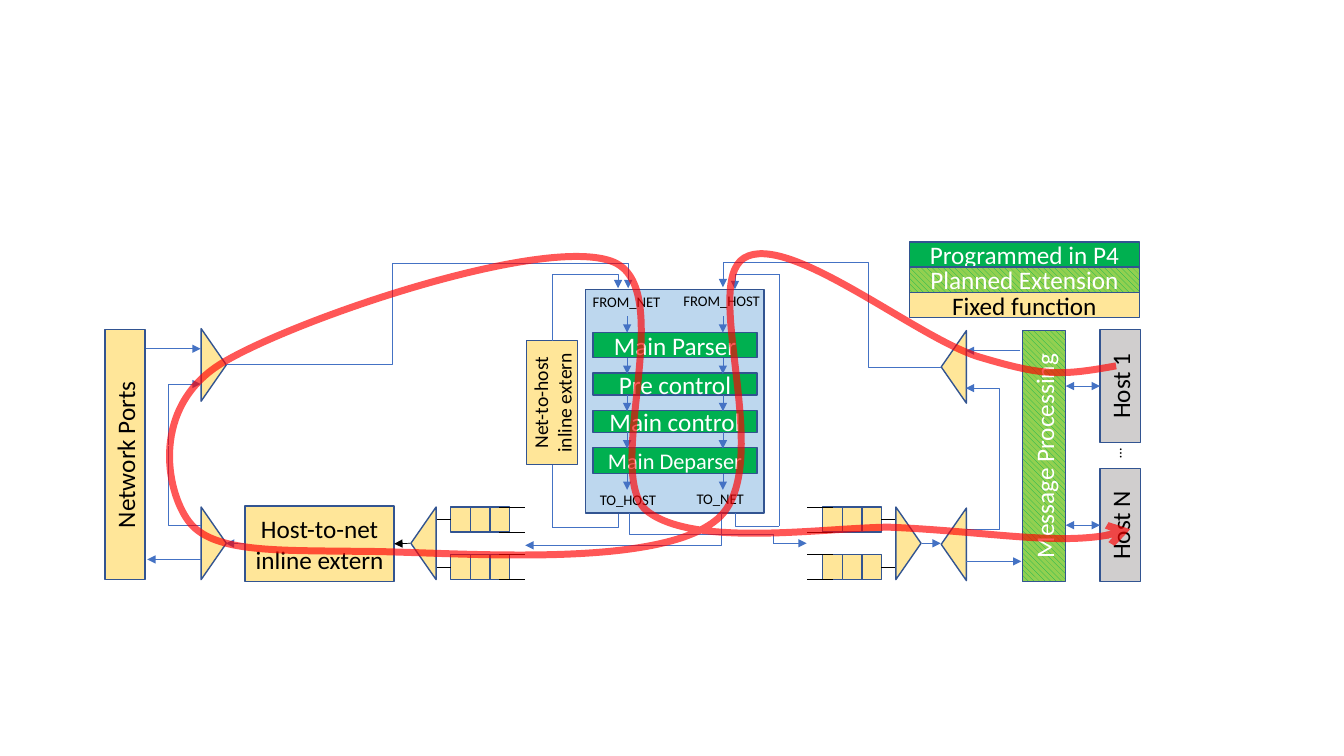
from lxml import etree
from pptx import Presentation
from pptx import util as u
from pptx.dml.color import RGBColor
from pptx.enum import dml, shapes, text
from pptx.oxml import ns

GREEN, LIME = RGBColor(0x00, 0xB0, 0x50), RGBColor(0x92, 0xD0, 0x50)
SAND, GREY = RGBColor(0xFF, 0xE6, 0x99), RGBColor(0xD0, 0xCE, 0xCE)
SKY, NAVY = RGBColor(0xBD, 0xD7, 0xEE), RGBColor(0x32, 0x54, 0x91)
BLUE, RED = RGBColor(0x44, 0x72, 0xC4), RGBColor(0xFF, 0x00, 0x00)
BLACK, WHITE = RGBColor(0, 0, 0), RGBColor(0xFF, 0xFF, 0xFF)
HATCH = (GREEN, LIME)
FONT = "Calibri"

# text, left, top, width, height, fill, font colour, size (all turned upwards)
UPRIGHT = [
    ("Message Processing", 9.11, 4.31, 2.49, 0.43, HATCH, WHITE, 18),
    ("Network Ports", 0, 4.31, 2.48, 0.4, SAND, BLACK, 18),
    ("Host 1", 10.55, 3.63, 1.12, 0.4, GREY, BLACK, 18),
    ("Host N", 10.55, 5.01, 1.12, 0.4, GREY, BLACK, 18),
    ("Net-to-host inline extern", 4.86, 3.74, 1.23, 0.51, SAND, BLACK, 14),
]
# stage, top, height, size
STAGES = [("Main Parser", 3.3, 0.25, 18), ("Pre control", 3.7, 0.22, 18),
          ("Main control", 4.07, 0.22, 18), ("Main Deparser", 4.44, 0.26, 16)]
STAGE_X, STAGE_W = 5.88, 1.63
LANES, LANE_STEPS, STEP = (6.22, 7.17), (3.14, 3.55, 3.92, 4.29, 4.7), 0.16
PORT_LABELS = [("FROM_HOST", 6.68, 2.85, 0.98), ("TO_HOST", 5.85, 4.82, 0.78),
               ("FROM_NET", 5.78, 2.86, 0.89), ("TO_NET", 6.81, 4.81, 0.68)]
LEGEND = [("Programmed in P4", GREEN, WHITE), ("Planned Extension", HATCH, WHITE),
          ("Fixed function", SAND, BLACK)]
LEGEND_X, LEGEND_Y, LEGEND_W, LEGEND_H = 9.02, 2.4, 2.28, 0.25

# centre x, centre y, rotation
MUXES = [(2.12, 3.62, 90), (2.12, 5.39, 90), (9.46, 5.4, 270), (9.46, 3.64, 270)]
MUX_W, MUX_H = 0.72, 0.25
QUEUE_TOPS, CELL_W, CELL_H = (5.03, 5.5), 0.195, 0.25
# first cell, open end, inner end of the open lines, feed from, feed to, mux centre, rotation
QUEUES = [(4.47, 5.21, 4.95, 4.47, 4.32, 4.2, 270),
          (8.16, 8.0, 8.26, 8.74, 8.89, 9.01, 90)]

# x1, y1, x2, y2, arrowheads
WIRES = [
    (1.45, 3.46, 1.99, 3.46, "tail"), (1.99, 5.55, 1.46, 5.55, "tail"),
    (9.58, 5.57, 10.13, 5.57, "tail"), (10.12, 3.48, 9.58, 3.48, "tail"),
    (9.14, 5.39, 9.33, 5.39, "tail"), (7.67, 5.39, 8.0, 5.39, "tail"),
    (10.57, 3.83, 10.91, 3.83, "head tail"), (10.57, 5.21, 10.91, 5.21, "head tail"),
    (7.67, 5.39, 7.67, 5.3, ""), (7.73, 5.22, 7.73, 2.72, ""),
    (5.48, 3.38, 5.48, 2.72, ""), (5.48, 5.23, 5.48, 4.61, ""),
]
# x1, y1, x2, y2, arrowheads, bend positions as shares of width, then height
ELBOWS = [
    (1.99, 5.21, 1.67, 4.42, "", [1]), (1.67, 4.42, 1.99, 3.81, "tail", [0]),
    (9.58, 5.25, 9.91, 4.45, "", [1]), (9.91, 4.45, 9.58, 3.85, "tail", [0]),
    (9.33, 3.64, 7.17, 2.85, "tail", [0.333, 1.317]),
    (2.24, 3.62, 6.23, 2.86, "tail", [0.415, 1.329]),
    (7.16, 5.09, 5.21, 5.41, "tail", [0]), (6.24, 5.09, 7.67, 5.3, "", [0]),
    (7.29, 5.09, 7.73, 5.22, "", [0]), (7.73, 2.72, 7.29, 2.87, "tail", [1]),
    (6.13, 5.1, 5.48, 5.23, "", [0]), (5.48, 2.72, 6.13, 2.86, "tail", [1]),
]
# start point, then two handles and an end point for each curve
FLOW = [
    (11.07, 3.63),
    (10.52, 3.73), (10.35, 3.73), (9.74, 3.55), (9.12, 3.38), (7.82, 2.29), (7.38, 2.56),
    (6.94, 2.83), (7.73, 4.69), (7.09, 5.17), (6.46, 5.66), (4.44, 5.47), (3.57, 5.47),
    (2.7, 5.46), (2.1, 5.48), (1.87, 5.17), (1.64, 4.86), (1.5, 4.04), (2.19, 3.61),
    (2.89, 3.18), (5.35, 2.34), (6.06, 2.59), (6.76, 2.83), (5.95, 4.73), (6.43, 5.08),
    (6.91, 5.43), (8.13, 5.24), (8.81, 5.23), (9.77, 5.27), (10.67, 5.45), (11.21, 5.25),
]


def inches(*values):
    return [u.Inches(v) for v in values]


def write(sp, words, size, color, align=None):
    p = sp.text_frame.paragraphs[0]
    p.alignment = align
    r = p.add_run()
    r.text = words
    r.font.size, r.font.name, r.font.color.rgb = u.Pt(size), FONT, color


def block(parent, x, y, w, h, fill, words="", size=18, color=BLACK, rot=0,
          kind=shapes.MSO_SHAPE.RECTANGLE):
    sp = parent.shapes.add_shape(kind, *inches(x, y, w, h))
    sp.shadow.inherit = False
    sp.rotation = rot
    if fill == HATCH:
        sp.fill.patterned()
        sp.fill.pattern = dml.MSO_PATTERN.WIDE_DOWNWARD_DIAGONAL
        sp.fill.fore_color.rgb, sp.fill.back_color.rgb = fill
    else:
        sp.fill.solid()
        sp.fill.fore_color.rgb = fill
    sp.line.color.rgb, sp.line.width = NAVY, u.Pt(1)
    if words:
        sp.text_frame.vertical_anchor = text.MSO_ANCHOR.MIDDLE
        write(sp, words, size, color, text.PP_ALIGN.CENTER)
    return sp


def mux(parent, cx, cy, rot):
    block(parent, cx - MUX_W / 2, cy - MUX_H / 2, MUX_W, MUX_H, SAND, rot=rot,
          kind=shapes.MSO_SHAPE.ISOSCELES_TRIANGLE)


def label(s, words, x, y, w, wrap=False, rot=0, align=None):
    sp = s.shapes.add_textbox(*inches(x, y, w, 0.28))
    sp.rotation = rot
    sp.text_frame.word_wrap = wrap
    write(sp, words, 10.5, BLACK, align)


def add_heads(sp, heads, kind="triangle"):
    for end in heads.split():
        etree.SubElement(sp.line._get_or_add_ln(), ns.qn(f"a:{end}End"), type=kind)


def wire(parent, x1, y1, x2, y2, heads="", bends=(), color=BLUE):
    kind = shapes.MSO_CONNECTOR.ELBOW if bends else shapes.MSO_CONNECTOR.STRAIGHT
    c = parent.shapes.add_connector(kind, *inches(x1, y1, x2, y2))
    c.line.color.rgb, c.line.width = color, u.Pt(0.5)
    add_heads(c, heads)
    pr = c._element.spPr
    etree.SubElement(pr, ns.qn("a:effectLst"))
    if bends:
        geom = pr.find(ns.qn("a:prstGeom"))
        geom.set("prst", f"bentConnector{len(bends) + 2}")
        av = geom.find(ns.qn("a:avLst"))
        if av is None:
            av = etree.SubElement(geom, ns.qn("a:avLst"))
        for i, share in enumerate(bends, 1):
            etree.SubElement(av, ns.qn("a:gd"), name=f"adj{i}", fmla=f"val {round(share * 100000)}")
        if x2 < x1 and y2 < y1:  # both flips equal a half turn
            for flip in ("flipH", "flipV"):
                del pr.xfrm.attrib[flip]
            pr.xfrm.set("rot", "10800000")
    return c


def queue_pair(s, first, open_x, inner_x, feed_x, mux_edge, mux_x, rot):
    """Two three-cell queues, open on one side, joined to a mux on the other."""
    g = s.shapes.add_group_shape()
    for top in QUEUE_TOPS:
        for i in range(3):
            block(g, first + i * CELL_W, top, CELL_W, CELL_H, SAND)
        for y in (top, top + CELL_H):
            wire(g, inner_x, y, open_x, y, color=BLACK)
        mid = top + CELL_H / 2
        wire(g, feed_x, mid, mux_edge, mid, color=BLACK)
    mux(g, mux_x, 5.39, rot)


def flow_curve(s):
    points = [tuple(inches(*pt)) for pt in FLOW]
    builder = s.shapes.build_freeform(*points[0])
    builder.add_line_segments(points[1:], close=False)
    sp = builder.convert_to_shape()
    sp.shadow.inherit = False
    sp.fill.background()
    sp.line.color.rgb, sp.line.width = RED, u.Pt(5)
    rgb = sp.line._get_or_add_ln().find(".//" + ns.qn("a:srgbClr"))
    etree.SubElement(rgb, ns.qn("a:alpha"), val="65000")
    add_heads(sp, "tail", "arrow")
    track = sp._element.find(".//" + ns.qn("a:path"))
    legs = track.findall(ns.qn("a:lnTo"))
    for i in range(0, len(legs), 3):
        curve = etree.SubElement(track, ns.qn("a:cubicBezTo"))
        for leg in legs[i:i + 3]:
            curve.append(leg[0])
            track.remove(leg)


def main():
    prs = Presentation()
    prs.slide_width, prs.slide_height = inches(13.33, 7.5)
    s = prs.slides.add_slide(prs.slide_layouts[6])
    for words, x, y, w, h, fill, color, size in UPRIGHT:
        block(s, x, y, w, h, fill, words, size, color, rot=270)
    for queue in QUEUES:
        queue_pair(s, *queue)
    for place in MUXES:
        mux(s, *place)
    extern = block(s, 2.43, 5.02, 1.48, 0.75, SAND, "Host-to-net inline extern")
    wire(s, 4.07, 5.39, 3.91, 5.39, "tail", color=BLACK).end_connect(extern, 3)
    wire(s, 2.43, 5.39, 2.24, 5.39, "tail").begin_connect(extern, 1)
    label(s, "…", 10.94, 4.38, 0.26, True, 270, text.PP_ALIGN.CENTER)

    block(s, 5.81, 2.87, 1.77, 2.22, SKY)
    for words, y, h, size in STAGES:
        block(s, STAGE_X, y, STAGE_W, h, GREEN, words, size, WHITE)
    for port in PORT_LABELS:
        label(s, *port)
    for x in LANES:
        for y in LANE_STEPS:
            wire(s, x, y, x, y + STEP, "tail")
    for route in WIRES + ELBOWS:
        wire(s, *route)
    flow_curve(s)
    for i, (words, fill, color) in enumerate(LEGEND):
        block(s, LEGEND_X, LEGEND_Y + i * LEGEND_H, LEGEND_W, LEGEND_H, fill, words, 18, color)
    prs.save("out.pptx")


if __name__ == "__main__":
    main()
